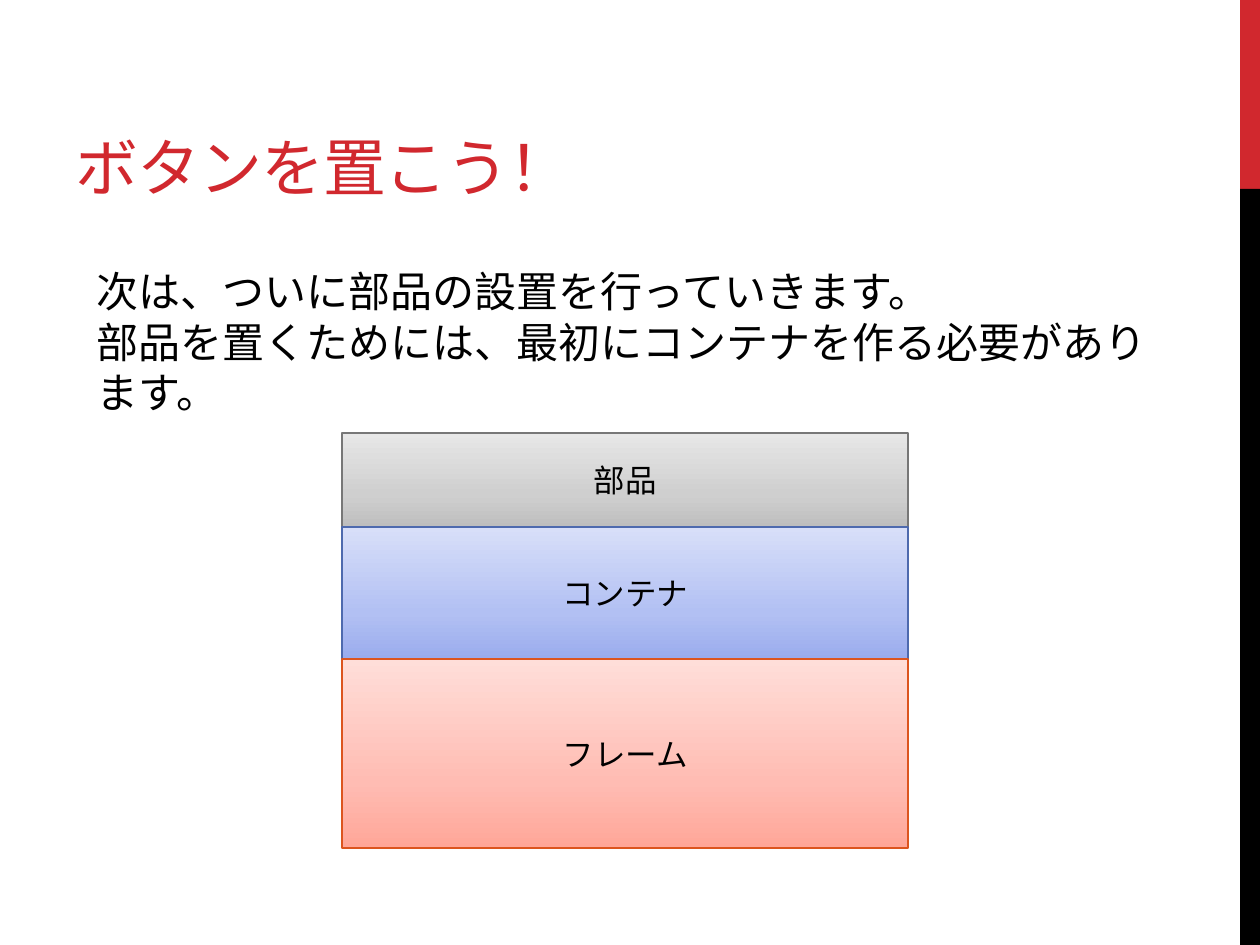
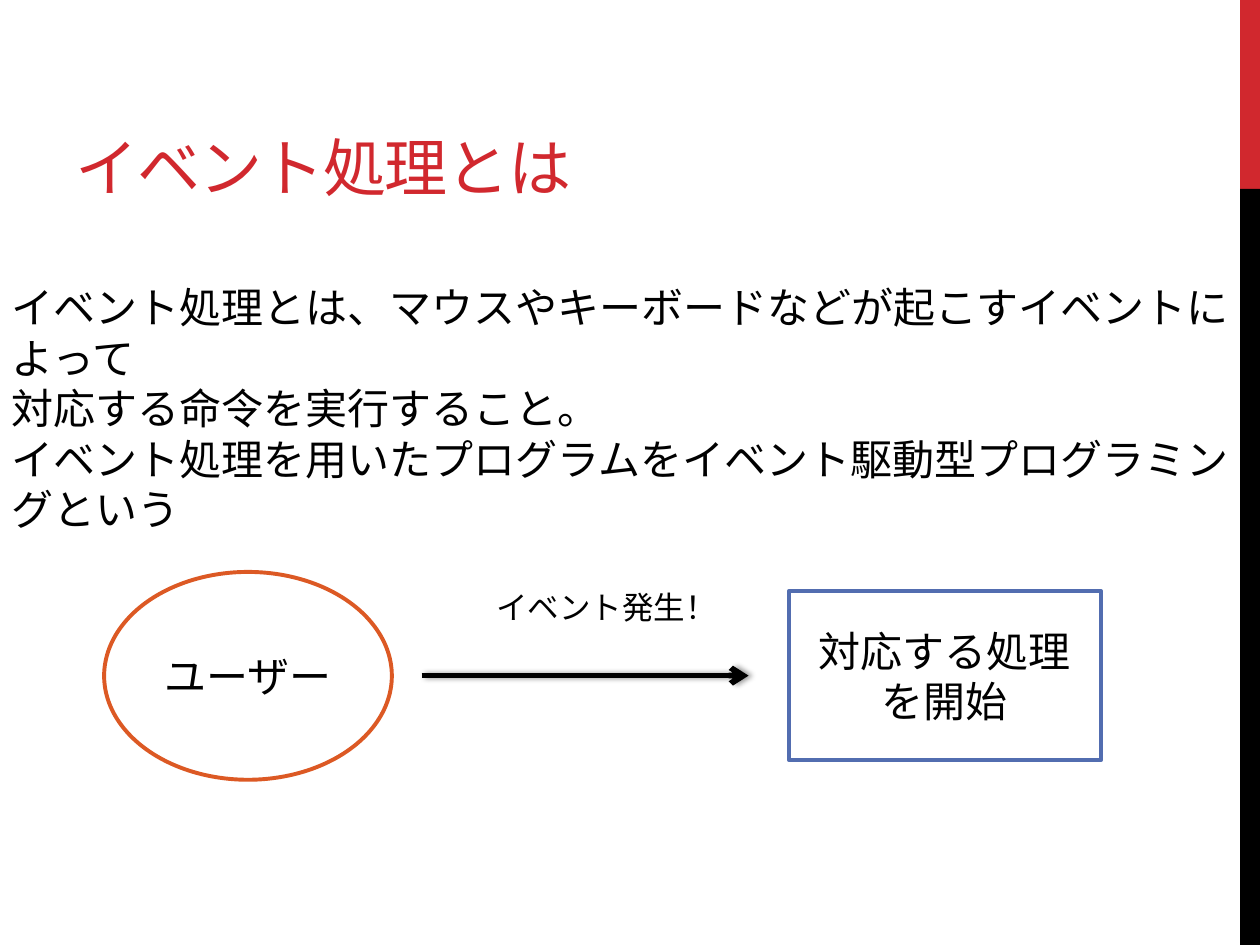
import copy

import pptx
import pptx.dml.color
import pptx.enum.shapes
import pptx.enum.text
import pptx.oxml
import pptx.oxml.ns
import pptx.util

Cm, Pt = pptx.util.Cm, pptx.util.Pt
RGBColor = pptx.dml.color.RGBColor
MSO_SHAPE = pptx.enum.shapes.MSO_SHAPE
ANCHOR = pptx.enum.text.MSO_ANCHOR
ALIGN = pptx.enum.text.PP_ALIGN

RED = RGBColor(0xD1, 0x28, 0x2E)
BLACK = RGBColor(0, 0, 0)
WHITE = RGBColor(0xFF, 0xFF, 0xFF)
USER_LINE = RGBColor(0xDC, 0x59, 0x24)
ACTION_LINE = RGBColor(0x52, 0x6D, 0xB0)
# Line colour, then gradient colours from bottom to top
GRAY = [RGBColor.from_string(c) for c in ("777777", "BEBEBE", "CFCFCF", "E7E7E7")]
BLUE = [RGBColor.from_string(c) for c in ("4E6AAE", "9AACED", "B2C0F3", "D8DFF9")]
ORANGE = [RGBColor.from_string(c) for c in ("DC551F", "FFA698", "FFBCB3", "FFDED9")]


def add_text(s, x, y, w, h, lines, size, font="Arial", color=BLACK):
    """Add a wrapping text box with one paragraph per line, sizes in cm."""
    sp = s.shapes.add_textbox(Cm(x), Cm(y), Cm(w), Cm(h))
    tf = sp.text_frame
    tf.word_wrap = True
    tf.text = "\n".join(lines)
    for p in tf.paragraphs:
        p.font.size, p.font.name, p.font.color.rgb = Pt(size), font, color
    return sp


def add_box(s, kind, x, y, w, h, fill, line=None, width=1, text="", size=18):
    """Add a shape with centred text; three fill colours make a gradient."""
    sp = s.shapes.add_shape(kind, Cm(x), Cm(y), Cm(w), Cm(h))
    sp.shadow.inherit = False
    if isinstance(fill, list):
        sp.fill.gradient()
        sp.fill.gradient_angle = 90
        stops = sp._element.spPr.find(".//" + pptx.oxml.ns.qn("a:gsLst"))
        stops.insert(1, copy.deepcopy(stops[0]))
        for stop, position, color in zip(sp.fill.gradient_stops, (0, 0.35, 1), fill):
            stop.position, stop.color.rgb = position, color
    else:
        sp.fill.solid()
        sp.fill.fore_color.rgb = fill
    if line is None:
        sp.line.fill.background()
    else:
        sp.line.color.rgb, sp.line.width = line, Pt(width)
    if text:
        tf = sp.text_frame
        tf.word_wrap, tf.vertical_anchor, tf.text = True, ANCHOR.MIDDLE, text
        p = tf.paragraphs[0]
        p.alignment = ALIGN.CENTER
        p.font.size, p.font.name, p.font.color.rgb = Pt(size), "Arial", BLACK
    return sp


prs = pptx.Presentation()
prs.slide_width, prs.slide_height = Cm(25.4), Cm(19.05)

# Side band and title of every slide
slides = []
for title in ("ボタンを置こう！", "イベント処理とは"):
    s = prs.slides.add_slide(prs.slide_layouts[6])
    add_box(s, MSO_SHAPE.RECTANGLE, 25, 0, 0.4, 3.81, RED)
    add_box(s, MSO_SHAPE.RECTANGLE, 25, 3.81, 0.4, 15.24, BLACK)
    sp = add_text(s, 1.27, 0.43, 16.08, 3.81, [title], 36, "Montserrat", RED)
    sp.text_frame.vertical_anchor = ANCHOR.BOTTOM
    sp.text_frame.paragraphs[0].runs[0].font._element.set("spc", "-60")
    slides.append(s)
button_slide, event_slide = slides

# Slide 1: layers stacked from the part down to the frame
add_text(button_slide, 1.7, 5.23, 22.15, 2.31, [
    "次は、ついに部品の設置を行っていきます。",
    "部品を置くためには、最初にコンテナを作る必要があります。",
], 24)
top = 8.73
for name, height, (line, *gradient) in (
    ("部品", 1.9, GRAY), ("コンテナ", 2.66, BLUE), ("フレーム", 3.81, ORANGE),
):
    add_box(button_slide, MSO_SHAPE.RECTANGLE, 6.9, top, 11.41, height, gradient, line, text=name)
    top += height

# Slide 2: the user triggers an event that starts the processing
add_text(event_slide, -0.02, 5.56, 25.32, 3.33, [
    "イベント処理とは、マウスやキーボードなどが起こすイベントによって",
    "対応する命令を実行すること。",
    "イベント処理を用いたプログラムをイベント駆動型プログラミングという",
], 24)
add_box(event_slide, MSO_SHAPE.OVAL, 2.1, 11.53, 5.8, 4.19, WHITE, USER_LINE, 2.25, "ユーザー", 24)
add_box(event_slide, MSO_SHAPE.RECTANGLE, 15.9, 11.92, 6.3, 3.4, WHITE, ACTION_LINE, 2.25,
        "対応する処理を開始", 24)
add_text(event_slide, 9.75, 11.73, 4.55, 1.02, ["イベント発生！"], 18)

arrow = event_slide.shapes.add_connector(
    pptx.enum.shapes.MSO_CONNECTOR.STRAIGHT, Cm(8.5), Cm(13.62), Cm(15.09), Cm(13.62))
arrow.line.color.rgb, arrow.line.width = BLACK, Pt(3.25)
ns = pptx.oxml.ns.nsdecls("a")
arrow.line._get_or_add_ln().append(pptx.oxml.parse_xml(f'<a:tailEnd {ns} type="arrow"/>'))
arrow._element.spPr.append(pptx.oxml.parse_xml(
    f'<a:effectLst {ns}><a:outerShdw blurRad="{Pt(3.1)}" dist="{Pt(1.8)}" dir="0">'
    '<a:srgbClr val="000000"><a:alpha val="40000"/></a:srgbClr>'
    '</a:outerShdw></a:effectLst>'))

prs.save("out.pptx")
